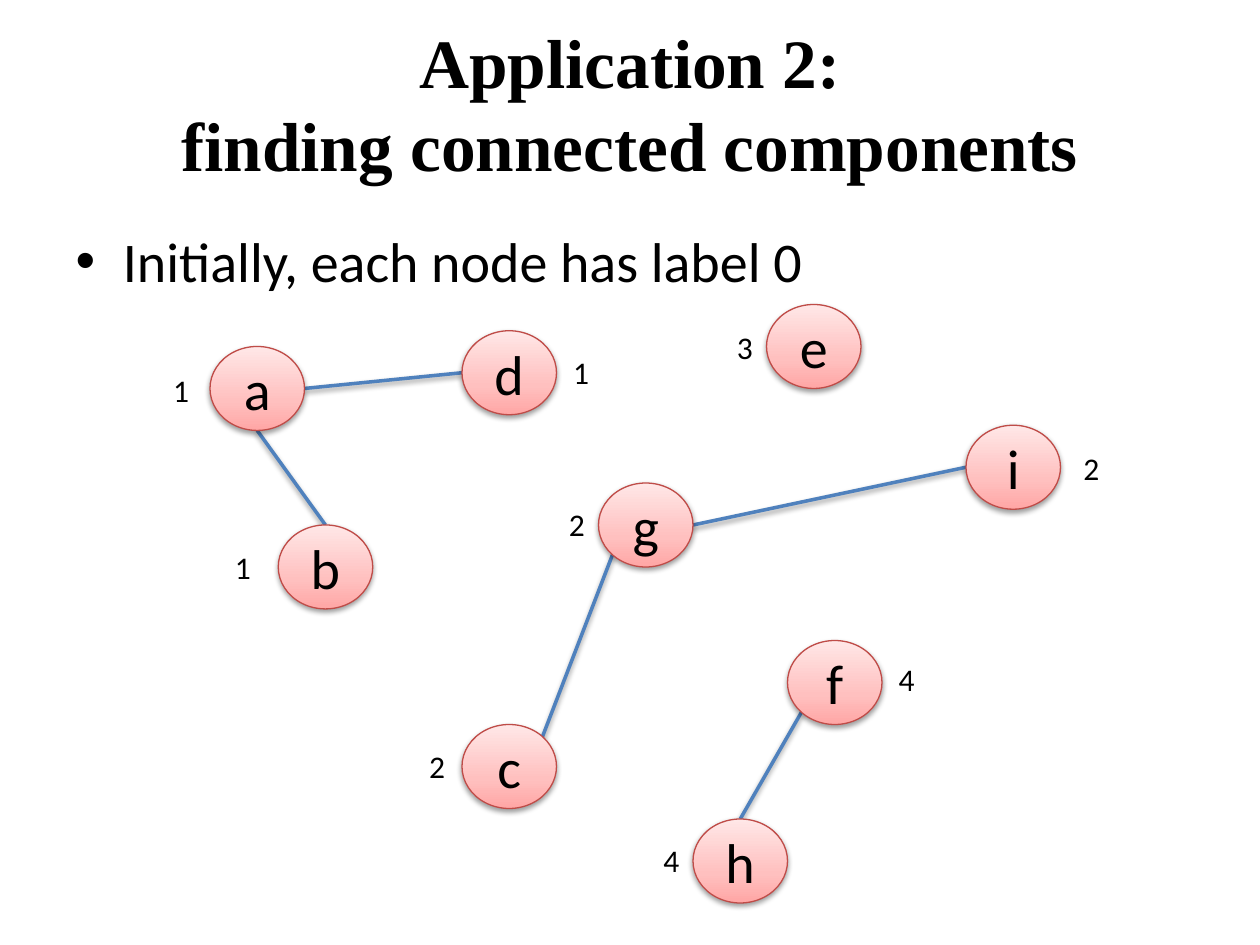
"""Build the slide on labelling the connected components of a graph."""
import lxml.etree
import pptx
import pptx.dml.color
import pptx.enum.shapes
import pptx.enum.text
import pptx.oxml.ns
import pptx.util

BLACK = pptx.dml.color.RGBColor(0x00, 0x00, 0x00)
EDGE_BLUE = pptx.dml.color.RGBColor(0x4F, 0x81, 0xBD)
RIM_RED = pptx.dml.color.RGBColor(0xBF, 0x4C, 0x48)
ROSE = pptx.dml.color.RGBColor(0xFF, 0xA6, 0xA5)
LIGHT_ROSE = pptx.dml.color.RGBColor(0xFF, 0xC0, 0xBF)
PALE_ROSE = pptx.dml.color.RGBColor(0xFF, 0xE7, 0xE7)


def add_xml(parent, tag, **attributes):
    return lxml.etree.SubElement(parent, pptx.oxml.ns.qn(tag), **attributes)


def cast_shadow(properties):
    effects = add_xml(properties, "a:effectLst")
    shadow = add_xml(effects, "a:outerShdw", blurRad="40000", dist="20000",
                     dir="5400000", rotWithShape="0")
    add_xml(add_xml(shadow, "a:srgbClr", val=str(BLACK)), "a:alpha", val="38000")


deck = pptx.Presentation()
deck.slide_width = pptx.util.Inches(10)
deck.slide_height = pptx.util.Inches(7.5)
column = deck.slide_width // 240
row = deck.slide_height // 180
node_columns, node_rows = 18, 16
slide = deck.slides.add_slide(deck.slide_layouts[1])

heading = slide.shapes.title
heading.left, heading.top = 4 * column, round(4.4 * row)
heading.width, heading.height = 232 * column, 30 * row
heading.text_frame.text = "Application 2:\vfinding connected components"
heading.text_frame.auto_size = pptx.enum.text.MSO_AUTO_SIZE.NONE
for run in heading.text_frame.paragraphs[0].runs:
    run.font.name = "Times New Roman"
    run.font.size = pptx.util.Pt(39.6)
    run.font.bold = True
    run.font.color.rgb = BLACK
for line_break in heading.text_frame.paragraphs[0]._p.findall(pptx.oxml.ns.qn("a:br")):
    add_xml(line_break, "a:rPr", sz="3960")

statement = slide.placeholders[1]
statement.left, statement.top = 12 * column, 42 * row
statement.width, statement.height = 216 * column, 119 * row
statement.text_frame.text = "Initially, each node has label 0"
statement_font = statement.text_frame.paragraphs[0].runs[0].font
statement_font.name = "Calibri"
statement_font.size = pptx.util.Pt(32)
statement_font.color.rgb = BLACK

nodes = {
    "a": (40, 66, "1", -9.4, 3.4),
    "b": (53, 100, "1", -10.6, 3.2),
    "d": (88, 63, "1", 18.8, 3),
    "c": (88, 138, "2", -8.6, 3.1),
    "g": (114, 92, "2", -8, 3.1),
    "e": (146, 58, "3", -8, 3.4),
    "f": (150, 122, "4", 18.8, 2.6),
    "i": (184, 81, "2", 20, 3.4),
    "h": (132, 156, "4", -8, 3.1),
}
anchors = {
    "top": (0.5, 0), "bottom": (0.5, 1), "left": (0, 0.5), "right": (1, 0.5),
    "top right": (0.85, 0.15), "bottom left": (0.15, 0.85),
}
edges = [
    ("a", "bottom", "b", "top"),
    ("a", "right", "d", "left"),
    ("c", "top right", "g", "bottom left"),
    ("g", "right", "i", "left"),
    ("f", "bottom left", "h", "top"),
]

for start, start_side, finish, finish_side in edges:
    ends = []
    for name, side in ((start, start_side), (finish, finish_side)):
        across, down = anchors[side]
        ends.append(round((nodes[name][0] + across * node_columns) * column))
        ends.append(round((nodes[name][1] + down * node_rows) * row))
    edge = slide.shapes.add_connector(pptx.enum.shapes.MSO_CONNECTOR.STRAIGHT, *ends)
    edge.line.color.rgb = EDGE_BLUE
    edge.line.width = pptx.util.Pt(2)
    cast_shadow(edge._element.spPr)

for name, (x, y, component, label_x, label_y) in nodes.items():
    node = slide.shapes.add_shape(
        pptx.enum.shapes.MSO_SHAPE.OVAL,
        x * column, y * row, node_columns * column, node_rows * row)
    node.fill.gradient()
    node.fill.gradient_angle = 90
    stops = node._element.spPr.find(".//" + pptx.oxml.ns.qn("a:gsLst"))
    for stop in list(stops):
        stops.remove(stop)
    for position, colour in ((0, ROSE), (35, LIGHT_ROSE), (100, PALE_ROSE)):
        stop = add_xml(stops, "a:gs", pos=str(position * 1000))
        add_xml(stop, "a:srgbClr", val=str(colour))
    node.line.color.rgb = RIM_RED
    node.line.width = pptx.util.Pt(0.75)
    cast_shadow(node._element.spPr)
    node.text_frame.text = name
    node.text_frame.vertical_anchor = pptx.enum.text.MSO_ANCHOR.MIDDLE
    node.text_frame.paragraphs[0].alignment = pptx.enum.text.PP_ALIGN.CENTER

    label = slide.shapes.add_textbox(
        round((x + label_x) * column), round((y + label_y) * row),
        8 * column, round(9.6 * row))
    label.text_frame.text = component
    label.text_frame.word_wrap = False
    label.text_frame.auto_size = pptx.enum.text.MSO_AUTO_SIZE.SHAPE_TO_FIT_TEXT

    for wording, size in ((node, 32), (label, 18)):
        font = wording.text_frame.paragraphs[0].runs[0].font
        font.name = "Calibri"
        font.size = pptx.util.Pt(size)
        font.color.rgb = BLACK

deck.save("out.pptx")
